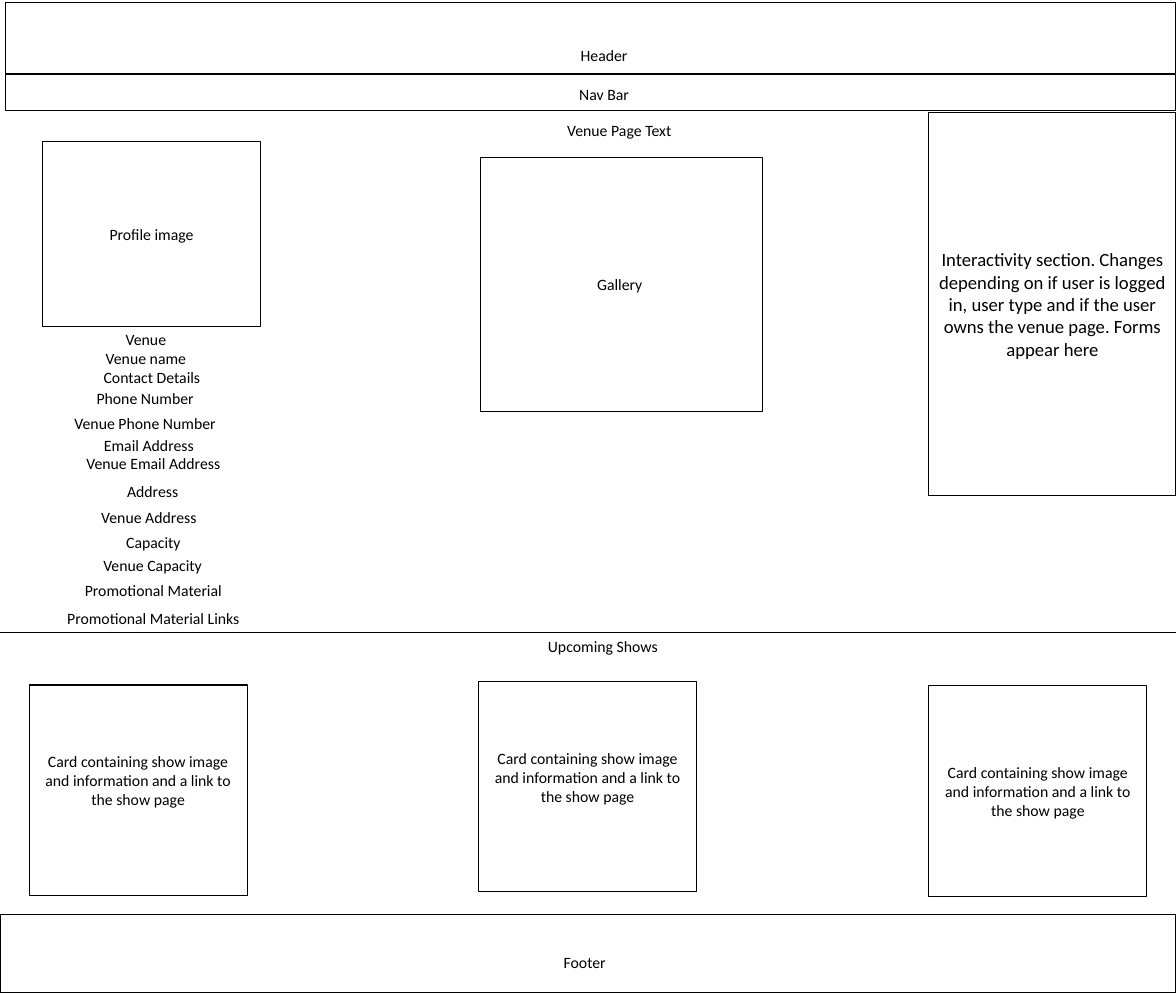
"""Build a wireframe slide of a venue page."""
from dataclasses import dataclass

from lxml import etree
from pptx import Presentation
from pptx.dml.color import RGBColor
from pptx.enum.shapes import MSO_CONNECTOR, MSO_SHAPE
from pptx.enum.text import MSO_ANCHOR, MSO_AUTO_SIZE, PP_ALIGN
from pptx.oxml.ns import qn
from pptx.util import Inches, Pt

RECTANGLE = MSO_SHAPE.RECTANGLE
STRAIGHT = MSO_CONNECTOR.STRAIGHT
MIDDLE = MSO_ANCHOR.MIDDLE
CENTER = PP_ALIGN.CENTER
FIT_SHAPE = MSO_AUTO_SIZE.SHAPE_TO_FIT_TEXT


@dataclass(frozen=True)
class Theme:
    ink: RGBColor = RGBColor(0, 0, 0)
    font: str = "Calibri"
    body_size: float = 15.2
    large_size: float = 18
    border: float = 1
    divider: float = 0.5


THEME = Theme()
SLIDE_WIDTH, SLIDE_HEIGHT = 15.75, 40 / 3
LABEL_WIDTH, LABEL_HEIGHT = 4.97, 0.36
CARD_WIDTH, CARD_HEIGHT = 2.92, 2.82
CARD_TEXT = "Card containing show image and information and a link to the show page"

presentation = Presentation()
presentation.slide_width = Inches(SLIDE_WIDTH)
presentation.slide_height = Inches(SLIDE_HEIGHT)
slide = presentation.slides.add_slide(presentation.slide_layouts[6])


def write_text(shape, text, size=THEME.body_size):
    text_frame = shape.text_frame
    text_frame.word_wrap = True
    text_frame.text = text
    paragraph = text_frame.paragraphs[0]
    paragraph.alignment = CENTER
    for run in paragraph.runs:
        run.font.name = THEME.font
        run.font.size = Pt(size)
        run.font.color.rgb = THEME.ink


def add_box(left, top, width, height, text="", size=THEME.body_size):
    box = slide.shapes.add_shape(
        RECTANGLE, Inches(left), Inches(top), Inches(width), Inches(height)
    )
    box.shadow.inherit = False
    box.fill.background()
    box.line.color.rgb = THEME.ink
    box.line.width = Pt(THEME.border)
    box.text_frame.vertical_anchor = MIDDLE
    if text:
        write_text(box, text, size)
    return box


add_box(0.07, 0.04, 15.68, 0.94)
add_box(0.07, 1, 15.68, 0.48)
add_box(0, 12.24, SLIDE_WIDTH, 1.05)

add_box(0.57, 1.89, 2.92, 2.48, "Profile image")
add_box(6.44, 2.11, 3.77, 3.4, "Gallery ")
add_box(
    12.44, 1.51, 3.31, 5.12,
    "Interactivity section. Changes depending on if user is logged in, "
    "user type and if the user owns the venue page. Forms appear here",
    THEME.large_size,
)

for left, top, bottom_inset in [(0.39, 9.17, 0.31), (6.41, 9.12, 0.31), (12.44, 9.18, 0.05)]:
    card = add_box(left, top, CARD_WIDTH, CARD_HEIGHT, CARD_TEXT)
    card.text_frame.margin_bottom = Inches(bottom_inset)

labels = [
    ("Header ", 5.63, 0.57),
    ("Nav Bar ", 5.63, 1.09),
    ("Venue Page Text", 5.81, 1.57),
    ("Venue", -0.53, 4.37),
    ("Venue name", -0.53, 4.62),
    ("Contact Details", -0.45, 4.87),
    ("Phone Number", -0.54, 5.16),
    ("Venue Phone Number", -0.54, 5.49),
    ("Email Address", -0.49, 5.78),
    ("Venue Email Address", -0.43, 6.02),
    ("Address", -0.44, 6.4),
    ("Venue Address", -0.49, 6.75),
    ("Capacity", -0.43, 7.08),
    ("Venue Capacity", -0.44, 7.39),
    ("Promotional Material", -0.43, 7.72),
    ("Promotional Material Links", -0.43, 8.1),
    ("Upcoming Shows", 5.59, 8.48),
    ("Footer ", 5.37, 12.71),
]
for text, left, top in labels:
    label = slide.shapes.add_textbox(
        Inches(left), Inches(top), Inches(LABEL_WIDTH), Inches(LABEL_HEIGHT)
    )
    write_text(label, text)
    label.text_frame.auto_size = FIT_SHAPE

divider = slide.shapes.add_connector(
    STRAIGHT, Inches(0), Inches(8.46), Inches(SLIDE_WIDTH), Inches(8.46)
)
divider.line.color.rgb = THEME.ink
divider.line.width = Pt(THEME.divider)
etree.SubElement(divider._element.spPr, qn("a:effectLst"))

presentation.save("out.pptx")
